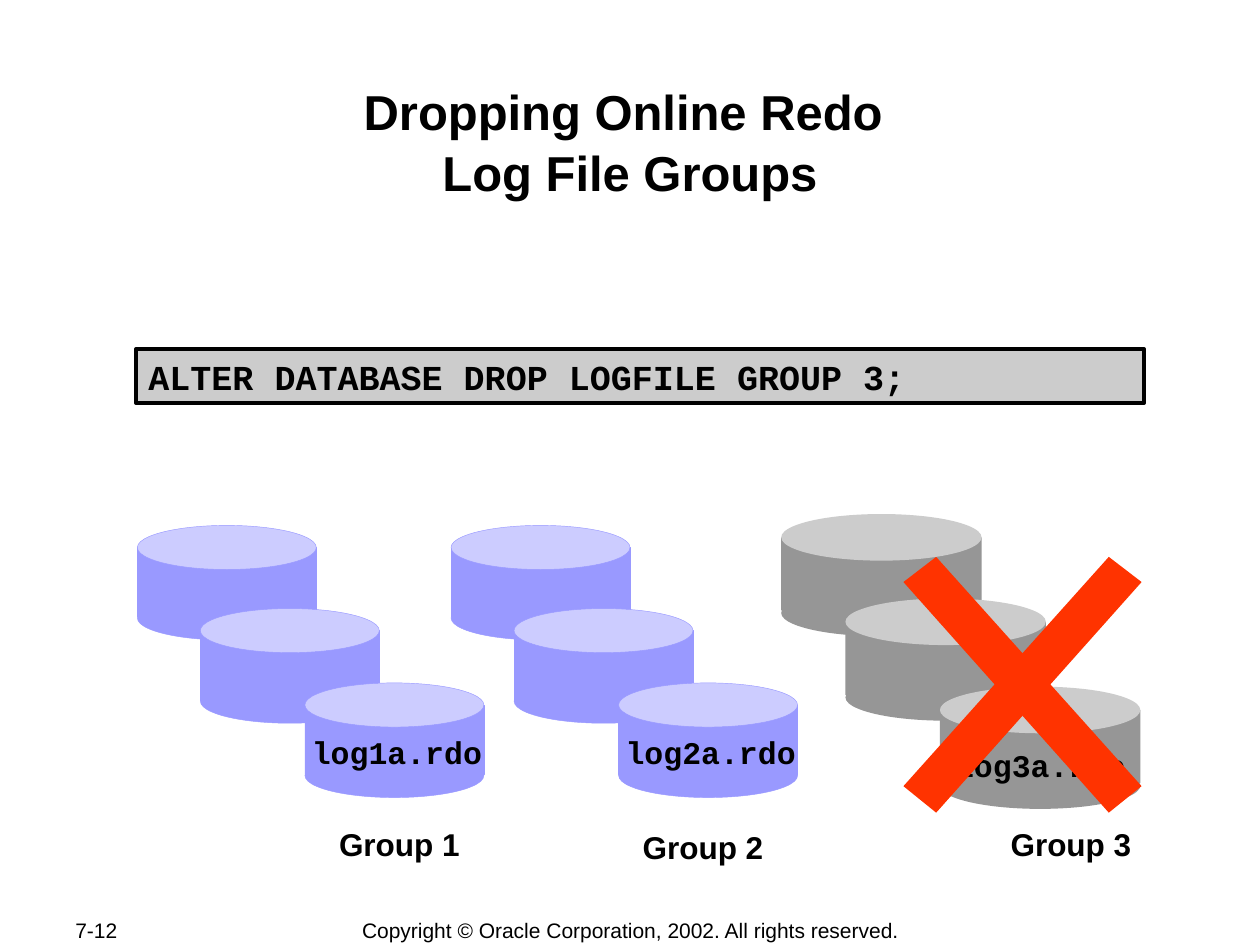
from pptx import Presentation
from pptx.dml.color import RGBColor
from pptx.enum.shapes import MSO_SHAPE
from pptx.enum.text import MSO_ANCHOR, PP_ALIGN
from pptx.util import Inches, Pt

BLUE, PALE_BLUE = "9999FF", "CCCCFF"
GRAY, PALE_GRAY = "969696", "CCCCCC"
RED, BLACK = "FF3300", "000000"
SANS, MONO = "Arial", "Courier New"


def color(value):
    return RGBColor.from_string(value)


class Builder:
    def __init__(self, prs):
        self.slide = prs.slides.add_slide(prs.slide_layouts[5])
        self.shapes = self.slide.shapes

    def place(self, sp, x, y, w, h):
        sp.left, sp.top, sp.width, sp.height = (Inches(v) for v in (x, y, w, h))

    def set_text(self, sp, text, size, font=SANS, bold=True, align=PP_ALIGN.CENTER,
                 inset=(0.1, 0.05), anchor=MSO_ANCHOR.TOP, wrap=True):
        tf = sp.text_frame
        tf.word_wrap = wrap
        tf.vertical_anchor = anchor
        tf.margin_left = tf.margin_right = Inches(inset[0])
        tf.margin_top = tf.margin_bottom = Inches(inset[1])
        tf.text = text
        p = tf.paragraphs[0]
        p.alignment = align
        p.space_before = Pt(0)
        p.font.size = Pt(size)
        p.font.name = font
        p.font.bold = bold
        p.font.color.rgb = color(BLACK)
        return p

    def paint(self, sp, fill, line=None, width=0.25):
        sp.shadow.inherit = False
        sp.fill.solid()
        sp.fill.fore_color.rgb = color(fill)
        if line:
            sp.line.color.rgb = color(line)
            sp.line.width = Pt(width)
        else:
            sp.line.fill.background()

    def title(self, text, x, y, w, h):
        sp = self.shapes.title
        self.place(sp, x, y, w, h)
        p = self.set_text(sp, text, 28, inset=(0.01, 0.01))
        p.line_spacing = 1.05

    def text(self, text, x, y, w, h, size=18, **style):
        sp = self.shapes.add_textbox(*(Inches(v) for v in (x, y, w, h)))
        self.set_text(sp, text, size, **style)

    def shape(self, kind, x, y, w, h, fill, line=None, width=0.25):
        sp = self.shapes.add_shape(kind, *(Inches(v) for v in (x, y, w, h)))
        self.paint(sp, fill, line, width)
        return sp

    def code(self, text, x, y, w, h):
        sp = self.shape(MSO_SHAPE.RECTANGLE, x, y, w, h, PALE_GRAY, BLACK, 2.25)
        self.set_text(sp, text, 20, MONO, align=PP_ALIGN.LEFT)

    def disk(self, x, y, w, body, cap, drop, side, top, line=None):
        self.shape(MSO_SHAPE.RECTANGLE, x, y + cap / 2, w, body, side, line)
        self.shape(MSO_SHAPE.OVAL, x, y, w, cap, top, line)
        self.shape(MSO_SHAPE.OVAL, x, y + drop, w, cap, side, line)

    def polygon(self, points, fill):
        pts = [(Inches(x), Inches(y)) for x, y in points]
        fb = self.shapes.build_freeform(*pts[0])
        fb.add_line_segments(pts[1:], close=True)
        self.paint(fb.convert_to_shape(), fill)


def main():
    prs = Presentation()
    prs.slide_width, prs.slide_height = Inches(10), Inches(7.5)
    s = Builder(prs)

    s.text("7-12", 0.5, 7.28, 1.06, 0.2, size=12, bold=False,
           align=PP_ALIGN.LEFT, anchor=MSO_ANCHOR.MIDDLE)
    s.text("Copyright © Oracle Corporation, 2002. All rights reserved.",
           2.76, 7.28, 4.49, 0.21, size=12, bold=False,
           anchor=MSO_ANCHOR.MIDDLE, wrap=False)
    s.title("Dropping Online Redo \vLog File Groups", 1, 0.61, 8, 0.96)
    s.code("ALTER DATABASE DROP LOGFILE GROUP 3;", 1.08, 2.77, 8, 0.43)

    for left, name in ((1.09, "log1a.rdo"), (3.58, "log2a.rdo")):
        for dx, y in ((0, 4.17), (0.5, 4.83), (1.33, 5.42)):
            s.disk(left + dx, y, 1.42, 0.55, 0.35, 0.56, BLUE, PALE_BLUE, BLUE)
        s.text(name, left + 1.37, 5.81, 1.38, 0.33, font=MONO,
               inset=(0.01, 0.01), wrap=False)

    for x, y in ((6.2, 4.08), (6.71, 4.75), (7.46, 5.45)):
        s.disk(x, y, 1.59, 0.58, 0.37, 0.6, GRAY, PALE_GRAY)
    s.text("log3a.rdo", 7.33, 5.85, 1.85, 0.43, font=MONO, inset=(0.13, 0.07))

    left, right = 7.17, 9.06
    bar = [(9.06, 6.24), (7.43, 4.42), (7.17, 4.62), (8.8, 6.45)]
    s.polygon(bar, RED)
    s.polygon([(left + right - x, y) for x, y in bar], RED)

    for number, x, y in ((1, 2.59, 6.5), (2, 5, 6.52), (3, 7.92, 6.5)):
        s.text(f"Group {number}", x, y, 1.16, 0.7)

    prs.save("out.pptx")


if __name__ == "__main__":
    main()
